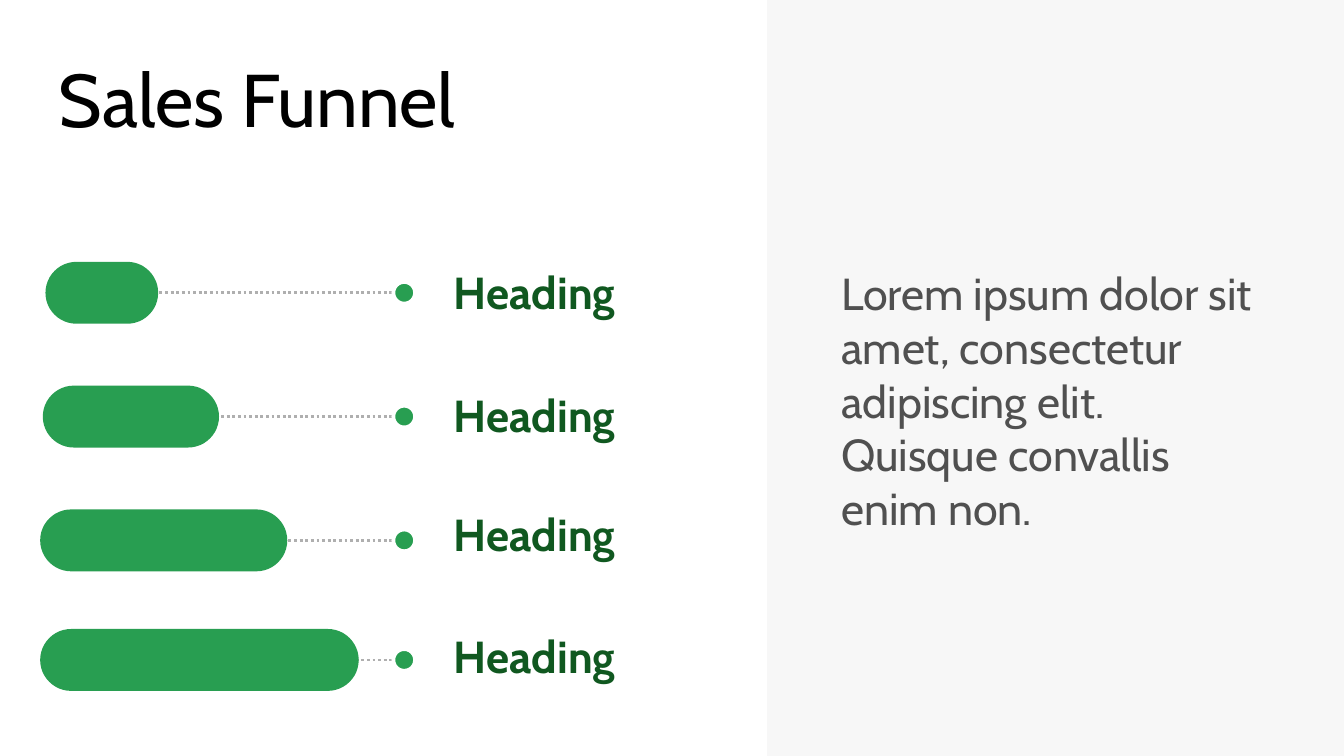
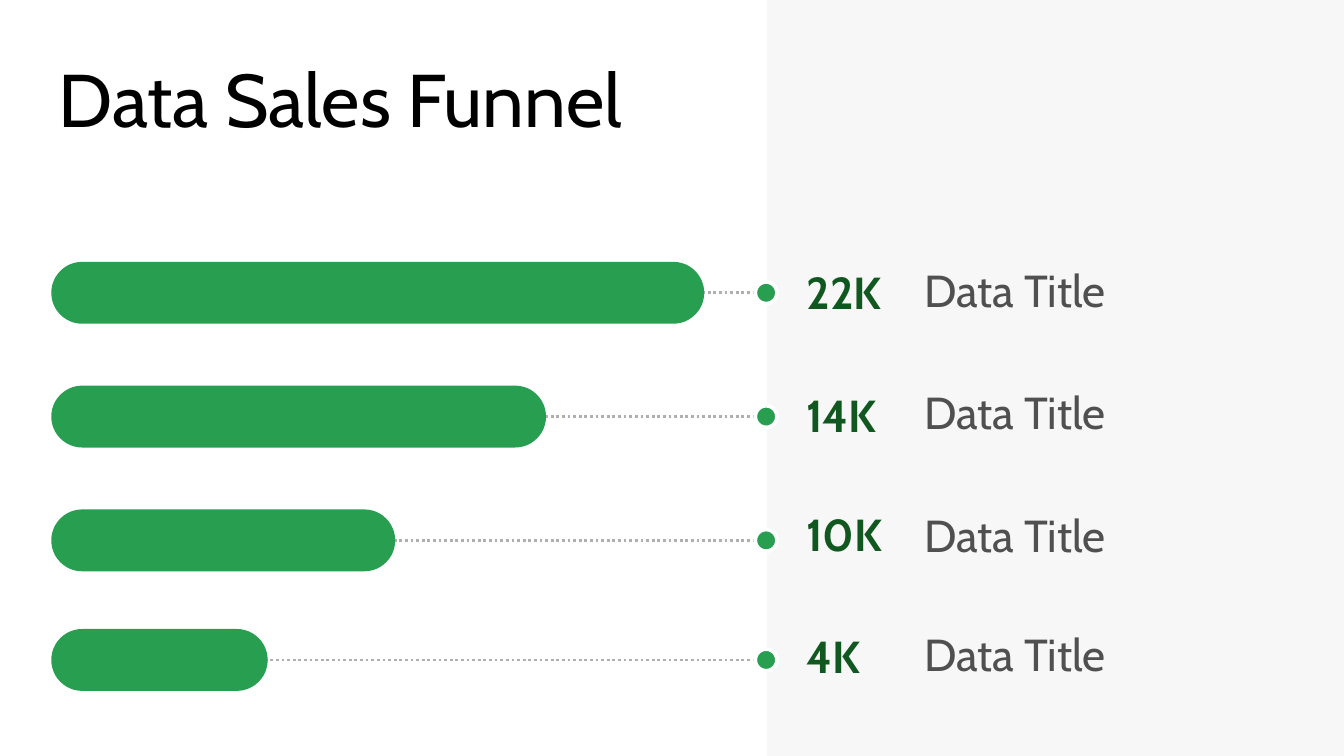
from pptx import Presentation
from pptx.dml.color import RGBColor
from pptx.enum.dml import MSO_LINE
from pptx.enum.shapes import MSO_CONNECTOR, MSO_SHAPE
from pptx.enum.text import MSO_ANCHOR, MSO_AUTO_SIZE, PP_ALIGN
from pptx.oxml import parse_xml
from pptx.oxml.ns import nsdecls
from pptx.util import Cm, Pt

# Content: each bar is (left, width) in cm
SLIDES = [
    {
        "title": "Sales Funnel",
        "bars": [(0.86, 2.13), (0.81, 3.33), (0.76, 4.67), (0.76, 6.02)],
        "start": 2.59, "end": 7.8, "dot": 7.64,
        "heads": ["Heading"] * 4, "at": 8.33, "wide": 5.49,
        "notes": [("Lorem ipsum dolor sit amet, consectetur adipiscing elit. "
                   "Quisque convallis enim non.", 15.65, 4.9, 8.43, 6.5)],
    },
    {
        "title": "Data Sales Funnel",
        "bars": [(0.97, 12.34), (0.97, 9.35), (0.97, 6.5), (0.97, 4.09)],
        "start": 1.4, "end": 14.58, "dot": 14.48,
        "heads": ["22K", "14K", "10K", "4K"], "at": 14.99, "wide": 2.57,
        "notes": [("Data Title", 17.22, top, 5.64, 1.12)
                  for top in (4.85, 7.14, 9.47, 11.73)],
    },
]

# Rows shared by both slides, in cm
BAR_TOPS = [4.95, 7.29, 9.63, 11.89]
HEAD_TOPS = [4.88, 7.21, 9.45, 11.76]
BAR_H, HEAD_H, DOT = 1.17, 1.27, 0.41
WIDE, HIGH, SPLIT = 25.4, 14.29, 14.5


# Theme
class Theme:
    white = RGBColor.from_string("FFFFFF")
    band = RGBColor.from_string("F7F7F7")
    green = RGBColor.from_string("289E51")
    rule = RGBColor.from_string("AFAFAF")
    title = {"size": Pt(40), "bold": False, "color": "000000"}
    head = {"size": Pt(24), "bold": True, "color": "105820"}
    note = {"size": Pt(24), "bold": False, "color": "505050"}


def style(font, form):
    font.name = "Cabin"
    for key, val in form.items():
        if key == "color":
            font.color.rgb = RGBColor.from_string(val)
        else:
            setattr(font, key, val)


def shape(slide, kind, box, fill, edge=None):
    item = slide.shapes.add_shape(kind, *map(Cm, box))
    item.shadow.inherit = False
    item.fill.solid()
    item.fill.fore_color.rgb = fill
    if edge is None:
        item.line.fill.background()
    else:
        item.line.color.rgb = edge
        item.line.width = Pt(2)
    return item


def label(slide, text, box, form, fit=MSO_AUTO_SIZE.NONE):
    frame = slide.shapes.add_textbox(*map(Cm, box)).text_frame
    for key, val in {"text": text, "word_wrap": True, "auto_size": fit}.items():
        setattr(frame, key, val)
    style(frame.paragraphs[0].runs[0].font, form)


def leader(slide, start, end, y):
    line = slide.shapes.add_connector(
        MSO_CONNECTOR.STRAIGHT, Cm(start), Cm(y), Cm(end), Cm(y))
    line.line.color.rgb = Theme.rule
    line.line.width = Pt(1.5)
    line.line.dash_style = MSO_LINE.ROUND_DOT
    props = line.element.spPr
    props.append(parse_xml(f"<a:effectLst {nsdecls('a')}/>"))


def head(slide, text):
    box = slide.shapes.title
    place = {"left": 0.86, "top": 1.22, "width": 13.13, "height": 1.7}
    for key, val in place.items():
        setattr(box, key, Cm(val))
    frame = box.text_frame
    form = {"text": text, "word_wrap": True, "auto_size": MSO_AUTO_SIZE.NONE,
            "vertical_anchor": MSO_ANCHOR.MIDDLE}
    for key, val in form.items():
        setattr(frame, key, val)
    para = frame.paragraphs[0]
    para.alignment = PP_ALIGN.LEFT
    para.line_spacing = Pt(35)
    style(para.runs[0].font, Theme.title)


def build(deck, data):
    slide = deck.slides.add_slide(deck.slide_layouts[5])
    shape(slide, MSO_SHAPE.RECTANGLE, (SPLIT, 0, WIDE - SPLIT, HIGH), Theme.band)
    head(slide, data["title"])

    # Funnel rows: dotted line, dot, bar, heading
    rows = zip(data["bars"], BAR_TOPS, data["heads"], HEAD_TOPS)
    for (left, width), top, text, high in rows:
        mid = top + BAR_H / 2
        leader(slide, data["start"], data["end"], mid)
        shape(slide, MSO_SHAPE.OVAL, (data["dot"] - DOT / 2, mid - DOT / 2, DOT, DOT),
              Theme.green, Theme.white)
        bar = shape(slide, MSO_SHAPE.ROUNDED_RECTANGLE,
                    (left, top, width, BAR_H), Theme.green)
        bar.adjustments[0] = 0.5
        label(slide, text, (data["at"], high, data["wide"], HEAD_H),
              Theme.head, MSO_AUTO_SIZE.SHAPE_TO_FIT_TEXT)

    # Side text
    for text, *box in data["notes"]:
        label(slide, text, box, Theme.note)


def main():
    deck = Presentation()
    deck.slide_width, deck.slide_height = Cm(WIDE), Cm(HIGH)
    for data in SLIDES:
        build(deck, data)
    deck.save("out.pptx")


if __name__ == "__main__":
    main()
